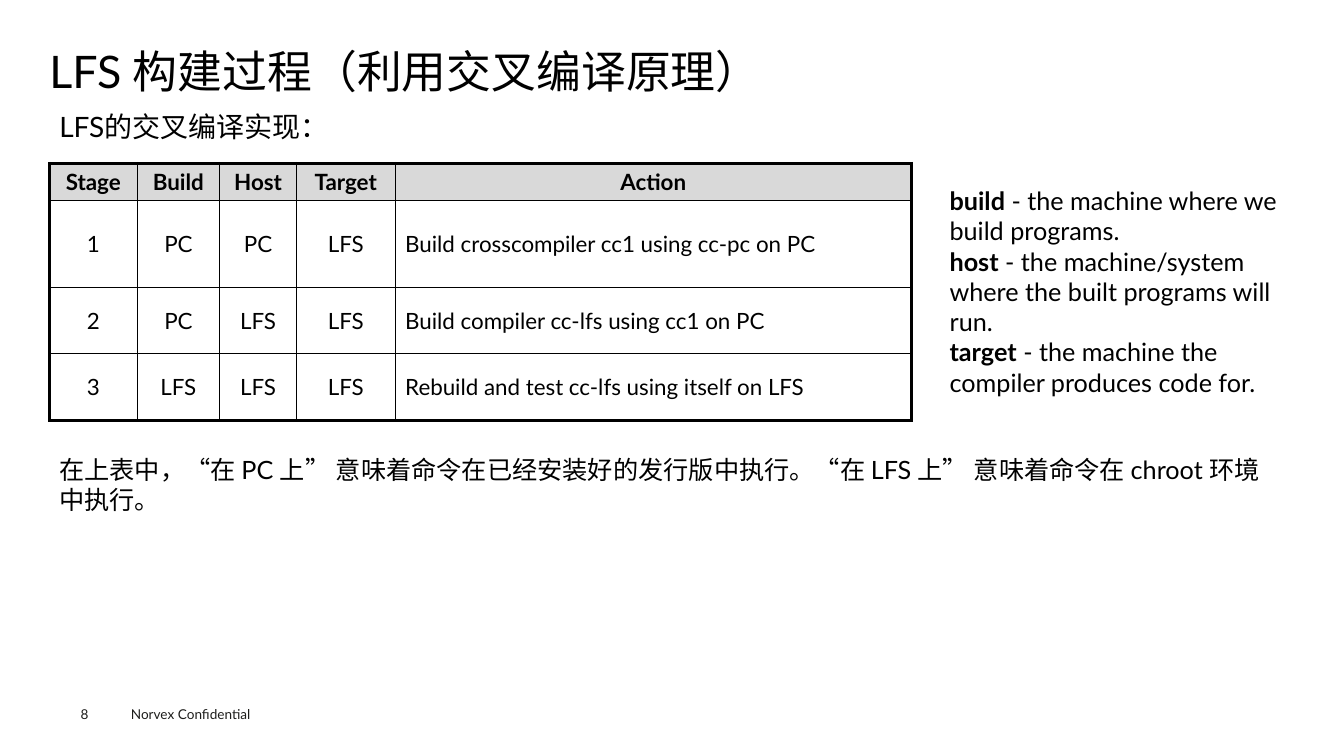
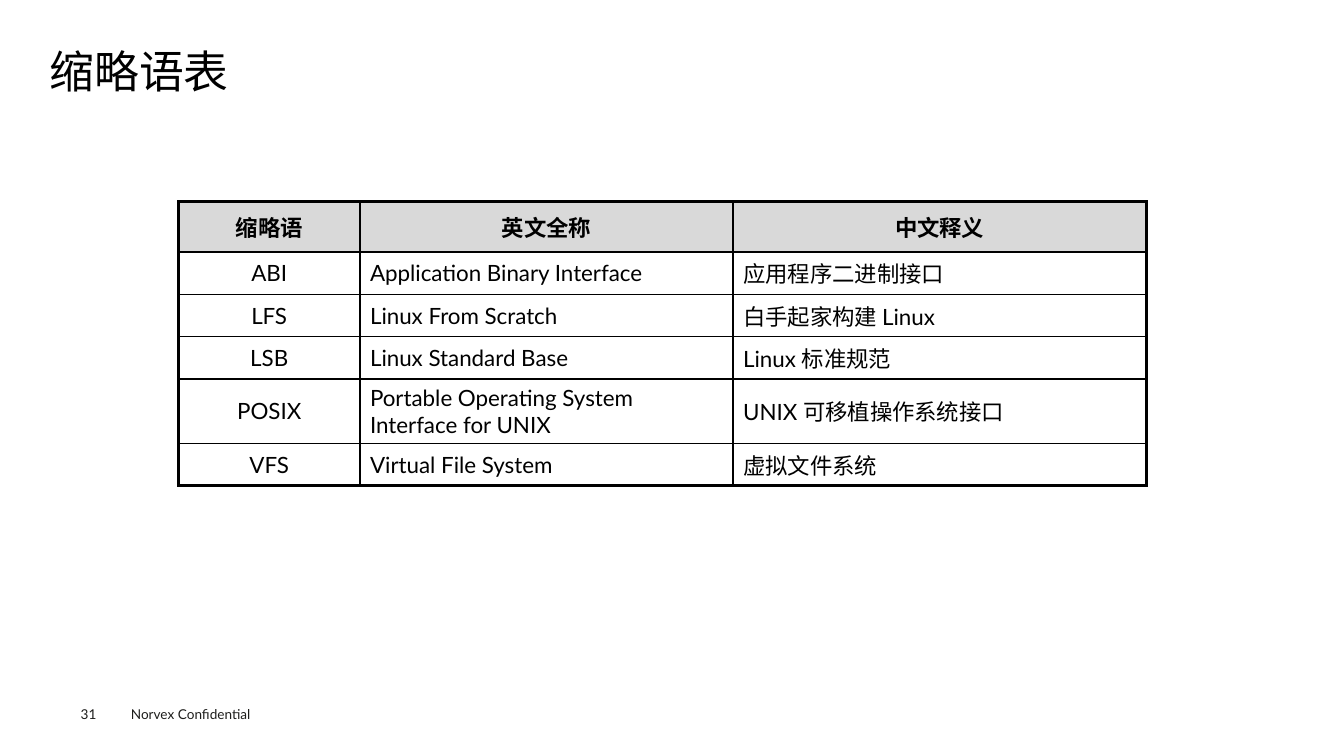
from lxml import etree
from pptx import Presentation
from pptx.dml.color import RGBColor
from pptx.enum.text import MSO_ANCHOR, PP_ALIGN
from pptx.oxml.ns import qn
from pptx.util import Inches, Pt

CENTER = PP_ALIGN.CENTER
LEFT = PP_ALIGN.LEFT
MIDDLE = MSO_ANCHOR.MIDDLE

FONT = "Lato"
BLACK = "000000"
FOOTER_COLOR = "1D1D1B"
HEADER_FILL = "D9D9D9"
MARGIN = 0.49
CONTENT_WIDTH = 12.35
OUTER_BORDER = 2.25
INNER_BORDER = 1

TITLE = {"size": 32}
SUBTITLE = {"size": 20}
BODY = {"size": 18}
FOOTER = {"size": 9.7, "color": FOOTER_COLOR}
TABLE_HEADER = {"size": 16, "bold": True}
TABLE_BODY = {"size": 16}


def rgb(value):
    return RGBColor.from_string(value)


def set_attributes(target, values):
    for name, value in values.items():
        setattr(target, name, value)


def add_run(paragraph, text, size, color=BLACK, bold=False):
    run = paragraph.add_run()
    run.text = text
    set_attributes(run.font, {"name": FONT, "size": Pt(size), "bold": bold})
    run.font.color.rgb = rgb(color)


def add_text(slide, box, paragraphs, style, inset=True, line_spacing=None):
    frame = slide.shapes.add_textbox(*map(Inches, box)).text_frame
    frame.word_wrap = True
    if not inset:
        sides = ("margin_left", "margin_top", "margin_right", "margin_bottom")
        set_attributes(frame, dict.fromkeys(sides, 0))
    for index, runs in enumerate(paragraphs):
        paragraph = frame.add_paragraph() if index else frame.paragraphs[0]
        paragraph.line_spacing = line_spacing
        for text, bold in runs:
            add_run(paragraph, text, bold=bold, **style)


def add_plain_text(slide, box, text, style, **options):
    add_text(slide, box, [[(text, False)]], style, **options)


def add_border(cell, side, width):
    properties = cell._tc.get_or_add_tcPr()
    line = etree.SubElement(properties, qn(f"a:ln{side}"), w=str(Pt(width)))
    fill = etree.SubElement(line, qn("a:solidFill"))
    etree.SubElement(fill, qn("a:srgbClr"), val=BLACK)


def style_cell(cell, outer_sides, is_header):
    cell.vertical_anchor = MIDDLE
    for side, is_outer in outer_sides.items():
        add_border(cell, side, OUTER_BORDER if is_outer else INNER_BORDER)
    if is_header:
        cell.fill.solid()
        cell.fill.fore_color.rgb = rgb(HEADER_FILL)
    else:
        cell.fill.background()


def add_table(slide, left, top, widths, heights, rows, centered_columns):
    frame = slide.shapes.add_table(
        len(rows), len(widths), Inches(left), Inches(top),
        Inches(sum(widths)), Inches(sum(heights)))
    table = frame.table
    set_attributes(table, {"first_row": False, "horz_banding": False})
    for column, width in zip(table.columns, widths):
        column.width = Inches(width)
    for row, height in zip(table.rows, heights):
        row.height = Inches(height)
    for row_index, row in enumerate(rows):
        for column_index, text in enumerate(row):
            is_header = row_index == 0
            cell = table.cell(row_index, column_index)
            outer_sides = {
                "L": column_index == 0,
                "R": column_index == len(widths) - 1,
                "T": is_header,
                "B": row_index == len(rows) - 1,
            }
            style_cell(cell, outer_sides, is_header)
            paragraph = cell.text_frame.paragraphs[0]
            is_centered = is_header or column_index < centered_columns
            paragraph.alignment = CENTER if is_centered else LEFT
            add_run(paragraph, text, **(TABLE_HEADER if is_header else TABLE_BODY))


def add_slide(presentation, title, number):
    slide = presentation.slides.add_slide(presentation.slide_layouts[6])
    add_plain_text(slide, (1.2, 6.95, 1.6, 0.27), "Norvex Confidential", FOOTER)
    add_plain_text(slide, (0.8, 7, 0.55, 0.16), str(number), FOOTER, inset=False)
    add_plain_text(slide, (MARGIN, 0.49, CONTENT_WIDTH, 0.54), title, TITLE,
                   inset=False, line_spacing=0.9)
    return slide


def build_process_slide(presentation):
    slide = add_slide(presentation, "LFS 构建过程（利用交叉编译原理）", 8)
    add_plain_text(slide, (MARGIN, 1.04, 6.06, 0.44), "LFS的交叉编译实现：", SUBTITLE)
    stages = [
        ("Stage", "Build", "Host", "Target", "Action"),
        ("1", "PC", "PC", "LFS", "Build crosscompiler cc1 using cc-pc on PC"),
        ("2", "PC", "LFS", "LFS", "Build compiler cc-lfs using cc1 on PC"),
        ("3", "LFS", "LFS", "LFS", "Rebuild and test cc-lfs using itself on LFS"),
    ]
    add_table(slide, MARGIN, 1.62, (0.87, 0.82, 0.76, 0.98, 5.12),
              (0.37, 0.86, 0.66, 0.66), stages, centered_columns=4)
    definitions = {
        "build": "the machine where we build programs.",
        "host": "the machine/system where the built programs will run.",
        "target": "the machine the compiler produces code for.",
    }
    paragraphs = [[(term, True), (f" - {meaning}", False)]
                  for term, meaning in definitions.items()]
    add_text(slide, (9.32, 1.79, 3.53, 2.22), paragraphs, BODY)
    add_plain_text(
        slide, (MARGIN, 4.46, CONTENT_WIDTH, 0.71),
        "在上表中，“在 PC 上” 意味着命令在已经安装好的发行版中执行。"
        "“在 LFS 上” 意味着命令在 chroot 环境中执行。", BODY)


def build_abbreviation_slide(presentation):
    slide = add_slide(presentation, "缩略语表", 31)
    abbreviations = [
        ("缩略语", "英文全称", "中文释义"),
        ("ABI", "Application Binary Interface", "应用程序二进制接口"),
        ("LFS", "Linux From Scratch", "白手起家构建 Linux"),
        ("LSB", "Linux Standard Base", "Linux 标准规范"),
        ("POSIX", "Portable Operating System Interface for UNIX", "UNIX 可移植操作系统接口"),
        ("VFS", "Virtual File System", "虚拟文件系统"),
    ]
    add_table(slide, 1.77, 2, (1.8, 3.7, 4.1),
              (0.5, 0.42, 0.42, 0.42, 0.64, 0.42), abbreviations, centered_columns=1)


def main():
    presentation = Presentation()
    set_attributes(presentation, {"slide_width": Inches(13.33), "slide_height": Inches(7.5)})
    build_process_slide(presentation)
    build_abbreviation_slide(presentation)
    presentation.save("out.pptx")


if __name__ == "__main__":
    main()
